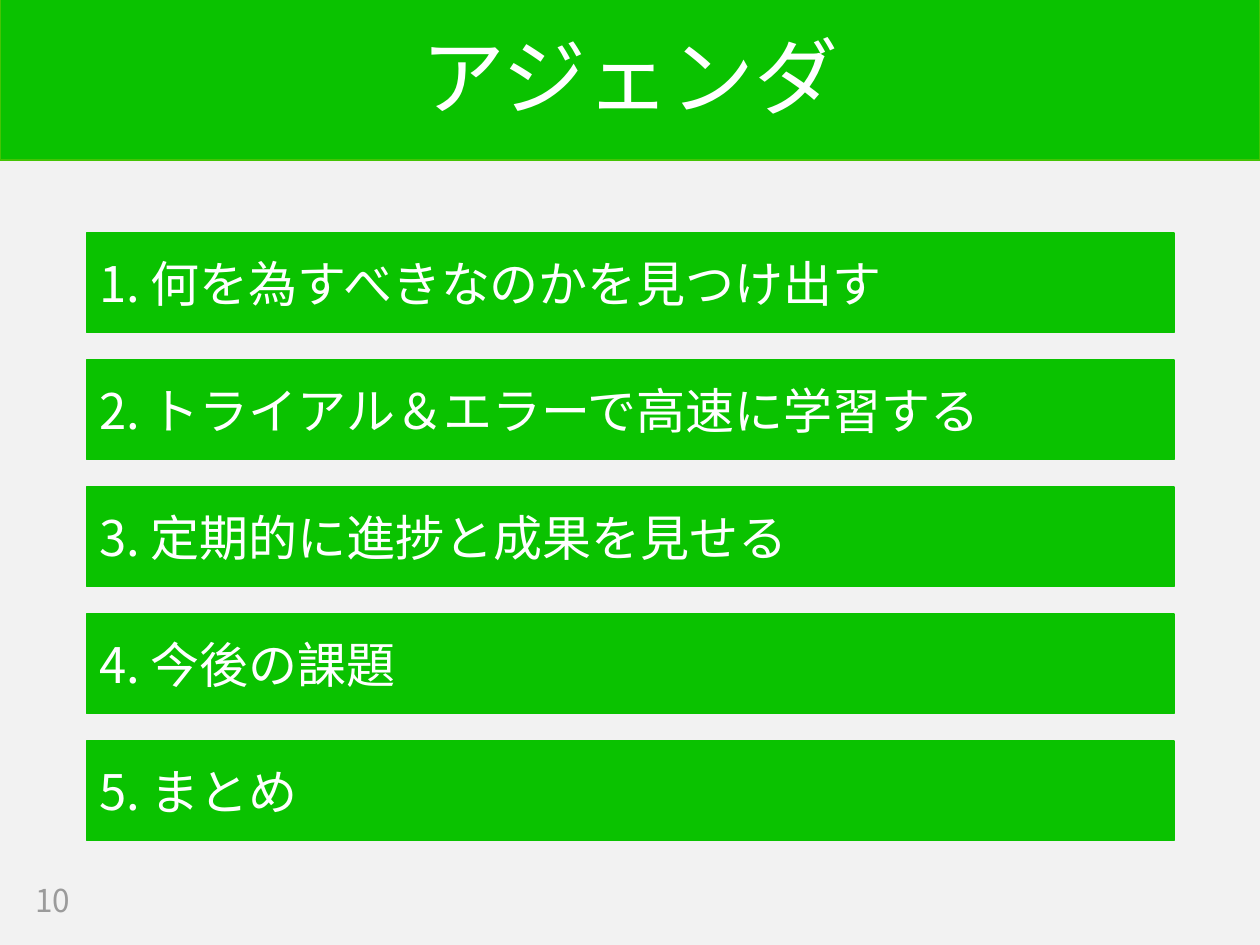
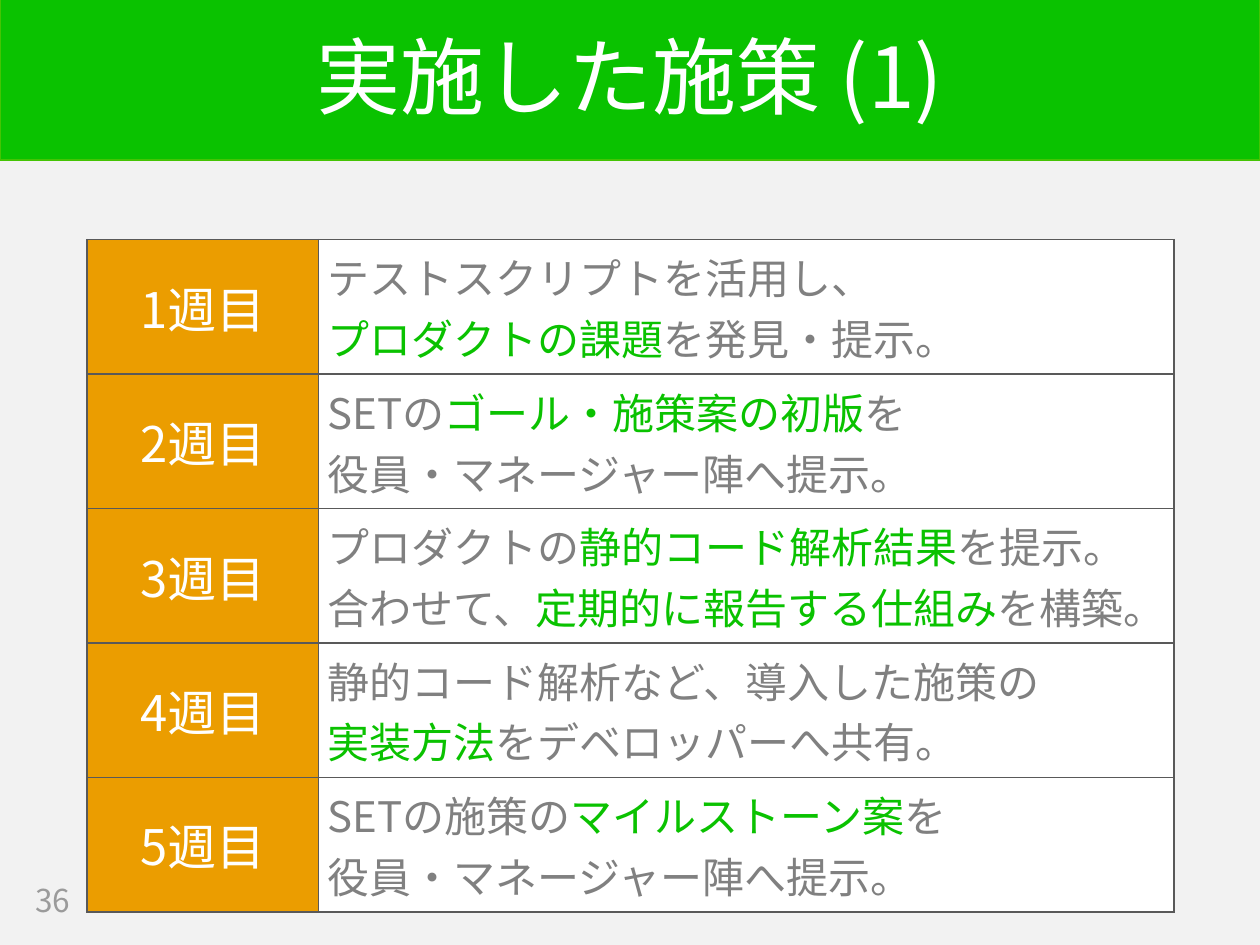
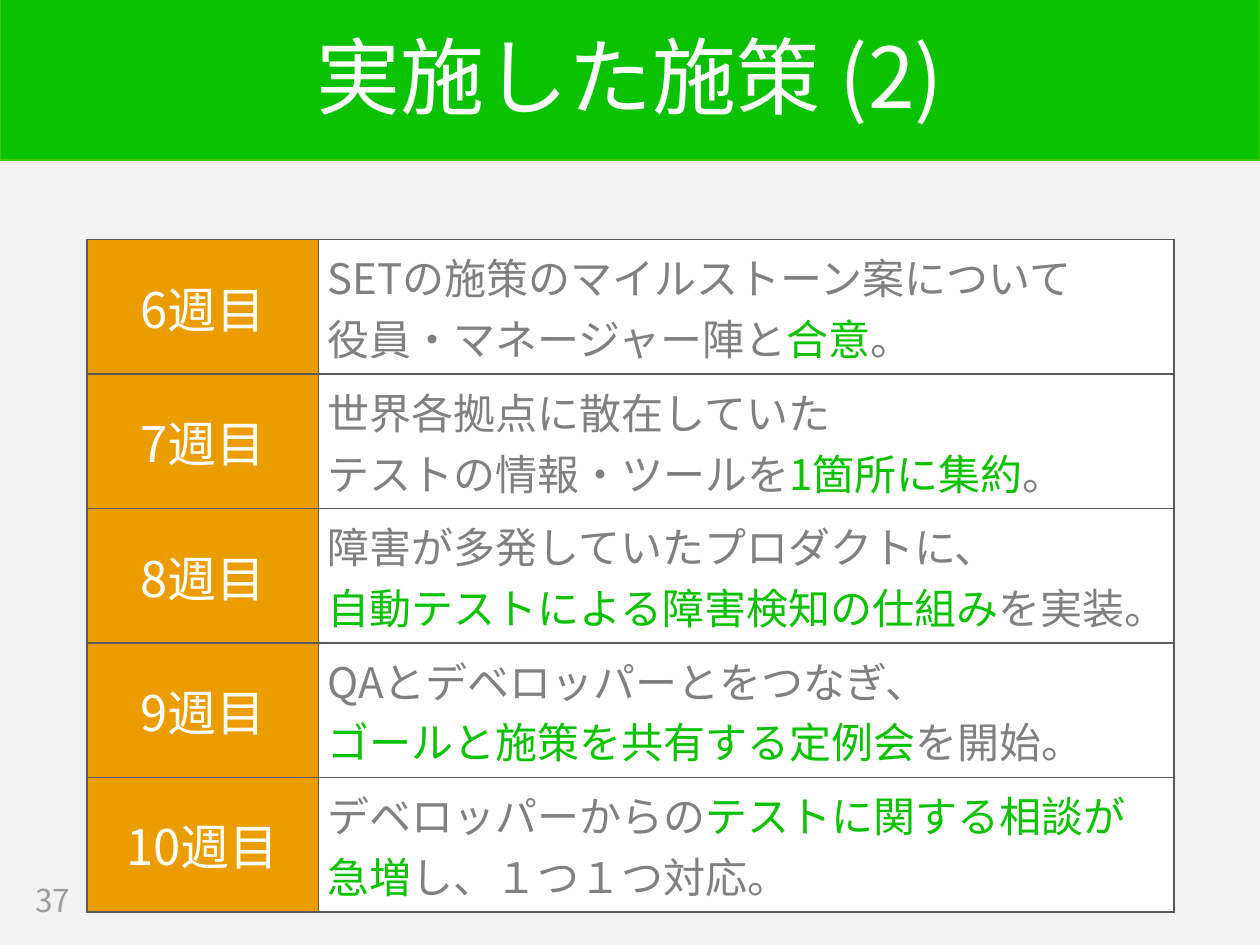
import pptx
import pptx.dml.color
import pptx.enum.shapes
import pptx.enum.text
import pptx.oxml.ns
import pptx.util
from lxml import etree

Cm = pptx.util.Cm
Pt = pptx.util.Pt
ALIGN = pptx.enum.text.PP_ALIGN
MIDDLE = pptx.enum.text.MSO_ANCHOR.MIDDLE

FONT = "Noto Sans CJK JP"
COLORS = {
    "background": "F2F2F2",
    "green": "0AC200",
    "band_line": "44C404",
    "orange": "EB9D00",
    "white": "FFFFFF",
    "text": "808080",
    "number": "9B9B9B",
    "border": "595959",
}
WIDTH, HEIGHT = 25.4, 19.05
CONTENT_LEFT = 1.75

AGENDA = [
    "何を為すべきなのかを見つけ出す",
    "トライアル＆エラーで高速に学習する",
    "定期的に進捗と成果を見せる",
    "今後の課題",
    "まとめ",
]

# Each week is a list of paragraphs; text between asterisks is highlighted.
WEEKS_1_TO_5 = [
    ["テストスクリプトを活用し、\n*プロダクトの課題*を発見・提示。"],
    ["SETの*ゴール・施策案の初版*を", "役員・マネージャー陣へ提示。"],
    ["プロダクトの*静的コード解析結果*を提示。",
     "合わせて、*定期的に報告する仕組み*を構築。"],
    ["静的コード解析など、導入した施策の\n*実装方法*をデベロッパーへ共有。"],
    ["SETの施策の*マイルストーン案*を", "役員・マネージャー陣へ提示。"],
]
WEEKS_6_TO_10 = [
    ["SETの施策のマイルストーン案について", "役員・マネージャー陣と*合意*。"],
    ["世界各拠点に散在していた\nテストの情報・ツールを*1箇所に集約*。"],
    ["障害が多発していたプロダクトに、",
     "*自動テストによる障害検知の仕組み*を実装。"],
    ["QAとデベロッパーとをつなぎ、", "*ゴールと施策を共有する定例会*を開始。"],
    ["デベロッパーからの*テストに関する相談が\n急増*し、１つ１つ対応。"],
]


def rgb(name):
    return pptx.dml.color.RGBColor.from_string(COLORS[name])


class Deck:
    """Holds the shared style and the slide being built."""

    def __init__(self):
        self.presentation = pptx.Presentation()
        self.presentation.slide_width = Cm(WIDTH)
        self.presentation.slide_height = Cm(HEIGHT)
        self.slide = None

    def new_slide(self, title, number):
        layout = self.presentation.slide_layouts[6]
        self.slide = self.presentation.slides.add_slide(layout)
        fill = self.slide.background.fill
        fill.solid()
        fill.fore_color.rgb = rgb("background")
        self.bar(0, -0.03, WIDTH, 3.25, "band_line", 1)
        self.text_box(title, 0, 0.91, WIDTH, 1.45, 48, "white", ALIGN.CENTER, 0.9)
        self.text_box(str(number), 0.46, 17.65, 2, 1, 18, "number")

    def bar(self, left, top, width, height, line="green", line_width=0.75):
        shape = self.slide.shapes.add_shape(
            pptx.enum.shapes.MSO_SHAPE.RECTANGLE,
            Cm(left), Cm(top), Cm(width), Cm(height))
        shape.shadow.inherit = False
        shape.fill.solid()
        shape.fill.fore_color.rgb = rgb("green")
        shape.line.color.rgb = rgb(line)
        shape.line.width = Pt(line_width)
        return shape

    def text_box(self, text, left, top, width, height, size, color,
                 align=ALIGN.LEFT, line_spacing=None):
        box = self.slide.shapes.add_textbox(
            Cm(left), Cm(top), Cm(width), Cm(height))
        self.add_text(box.text_frame, [text], size, color, align, line_spacing)

    def add_text(self, frame, paragraphs, size, color, align=ALIGN.LEFT,
                 line_spacing=None):
        frame.word_wrap = True
        frame.vertical_anchor = MIDDLE
        for index, text in enumerate(paragraphs):
            paragraph = frame.add_paragraph() if index else frame.paragraphs[0]
            paragraph.alignment = align
            paragraph.line_spacing = line_spacing
            for part, piece in enumerate(text.split("*")):
                run_color = "green" if part % 2 else color
                for row, line in enumerate(piece.split("\n")):
                    if row:
                        paragraph.add_line_break()
                    if line:
                        self.add_run(paragraph, line, size, run_color)

    def add_run(self, paragraph, text, size, color):
        run = paragraph.add_run()
        run.text = text
        run.font.size = Pt(size)
        run.font.name = FONT
        run.font.color.rgb = rgb(color)
        east_asian = etree.SubElement(
            run._r.get_or_add_rPr(), pptx.oxml.ns.qn("a:ea"))
        east_asian.set("typeface", FONT)

    def agenda(self, items):
        for index, item in enumerate(items):
            shape = self.bar(CONTENT_LEFT, 4.7 + 2.56 * index, 21.92, 2)
            self.add_text(shape.text_frame, [f"{index + 1}. {item}"], 28, "white")

    def week_table(self, first_week, weeks):
        widths, row_height = (4.67, 17.25), 2.71
        table = self.slide.shapes.add_table(
            len(weeks), 2, Cm(CONTENT_LEFT), Cm(4.83),
            Cm(sum(widths)), Cm(row_height * len(weeks))).table
        table.first_row = table.horz_banding = False
        for column, width in zip(table.columns, widths):
            column.width = Cm(width)
        for index, paragraphs in enumerate(weeks):
            table.rows[index].height = Cm(row_height)
            self.cell(table.cell(index, 0), [f"{first_week + index}週目"],
                      28, "white", "orange", ALIGN.CENTER)
            self.cell(table.cell(index, 1), paragraphs, 24, "text", "white")

    def cell(self, cell, paragraphs, size, color, fill, align=ALIGN.LEFT):
        cell.margin_left = cell.margin_right = Cm(0.18)
        cell.margin_top = cell.margin_bottom = Cm(0.13)
        self.add_text(cell.text_frame, paragraphs, size, color, align)
        cell.vertical_anchor = MIDDLE
        # Borders come before the fill in the cell properties
        properties = cell._tc.get_or_add_tcPr()
        qn = pptx.oxml.ns.qn
        for side in "LRTB":
            line = etree.SubElement(properties, qn(f"a:ln{side}"), w=str(Pt(1)))
            solid = etree.SubElement(line, qn("a:solidFill"))
            etree.SubElement(solid, qn("a:srgbClr"), val=COLORS["border"])
        cell.fill.solid()
        cell.fill.fore_color.rgb = rgb(fill)


def main():
    deck = Deck()

    # Agenda
    deck.new_slide("アジェンダ", 10)
    deck.agenda(AGENDA)

    # Weekly measures
    deck.new_slide("実施した施策 (1)", 36)
    deck.week_table(1, WEEKS_1_TO_5)
    deck.new_slide("実施した施策 (2)", 37)
    deck.week_table(6, WEEKS_6_TO_10)

    deck.presentation.save("out.pptx")


if __name__ == "__main__":
    main()
